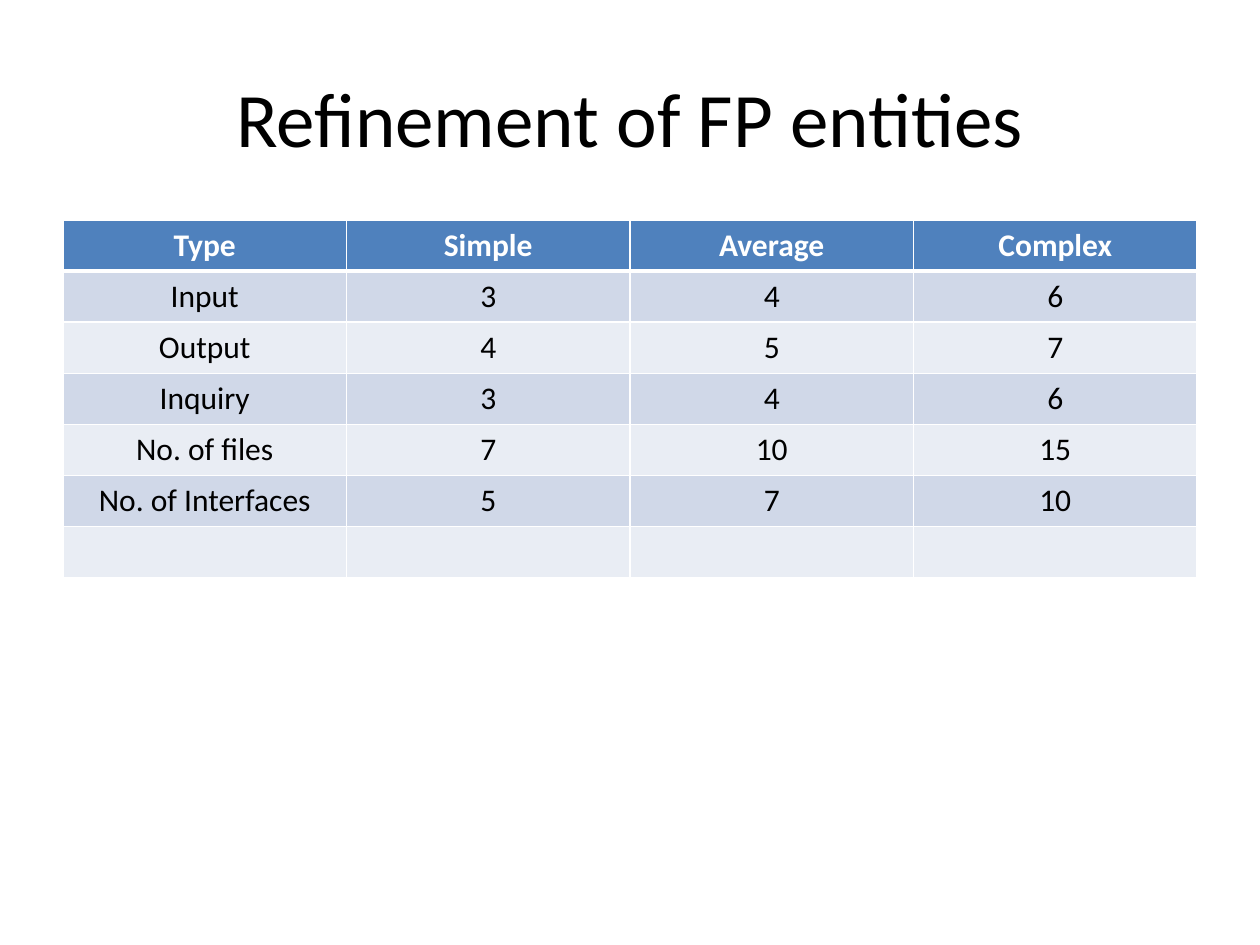
from lxml.etree import SubElement
from pptx import Presentation
from pptx.dml.color import RGBColor
from pptx.enum.text import MSO_ANCHOR as Anchor, PP_ALIGN as Align
from pptx.oxml.ns import qn
from pptx.util import Pt

EMU_PER_PX = 914400 / 126
FONT = "Calibri"
WHITE, BLACK = "FFFFFF", "000000"
HEADER_FILL = "4F81BD"
BAND_FILLS = ("D0D8E8", "E9EDF4")
ENTITY_WEIGHTS = (
    ("Type", "Simple", "Average", "Complex"),
    ("Input", "3", "4", "6"),
    ("Output", "4", "5", "7"),
    ("Inquiry", "3", "4", "6"),
    ("No. of files", "7", "10", "15"),
    ("No. of Interfaces", "5", "7", "10"),
    ("", "", "", ""),
)


def px(length):
    """Turn whole pixels into EMU."""
    return round(length * EMU_PER_PX)


def color(hex_value):
    """Turn a hex string into a colour."""
    return RGBColor.from_string(hex_value)


def write(frame, text, size, hex_value, bold=False):
    """Write one centred run into the first paragraph of a text frame."""
    paragraph = frame.paragraphs[0]
    paragraph.alignment = Align.CENTER
    if text:
        run = paragraph.add_run()
        run.text = text
        run.font.name = FONT
        run.font.size = Pt(size)
        run.font.bold = bold
        run.font.color.rgb = color(hex_value)


def add_border(cell, side, width):
    """Draw a white line on one side of a cell."""
    properties = cell._tc.get_or_add_tcPr()
    line = SubElement(properties, qn(f"a:ln{side}"), w=str(Pt(width)))
    fill = SubElement(line, qn("a:solidFill"))
    SubElement(fill, qn("a:srgbClr"), val=WHITE)


def style_cell(cell, row):
    """Give a cell its borders and its header or band fill."""
    thick_side = {0: "B", 1: "T"}.get(row)
    for side in "LRTB":
        add_border(cell, side, 3 if side == thick_side else 1)
    cell.fill.solid()
    cell.fill.fore_color.rgb = color(BAND_FILLS[(row - 1) % 2] if row else HEADER_FILL)


def add_title(slide, text):
    """Place and fill the slide title."""
    title = slide.shapes.title
    title.left, title.top, title.width, title.height = map(px, (63, 38, 1134, 157))
    title.text_frame.vertical_anchor = Anchor.MIDDLE
    write(title.text_frame, text, 44, BLACK)


def add_weights_table(slide, rows):
    """Add the banded table of entity weights."""
    box = map(px, (63, 220, 1134, 358))
    table = slide.shapes.add_table(len(rows), len(rows[0]), *box).table
    for row, values in enumerate(rows):
        for column, value in enumerate(values):
            cell = table.cell(row, column)
            style_cell(cell, row)
            write(cell.text_frame, value, 18, BLACK if row else WHITE, bold=row == 0)


def main():
    """Build the slide and save it."""
    deck = Presentation()
    deck.slide_width, deck.slide_height = px(1260), px(945)
    slide = deck.slides.add_slide(deck.slide_layouts[5])
    add_title(slide, "Refinement of FP entities")
    add_weights_table(slide, ENTITY_WEIGHTS)
    deck.save("out.pptx")


if __name__ == "__main__":
    main()
